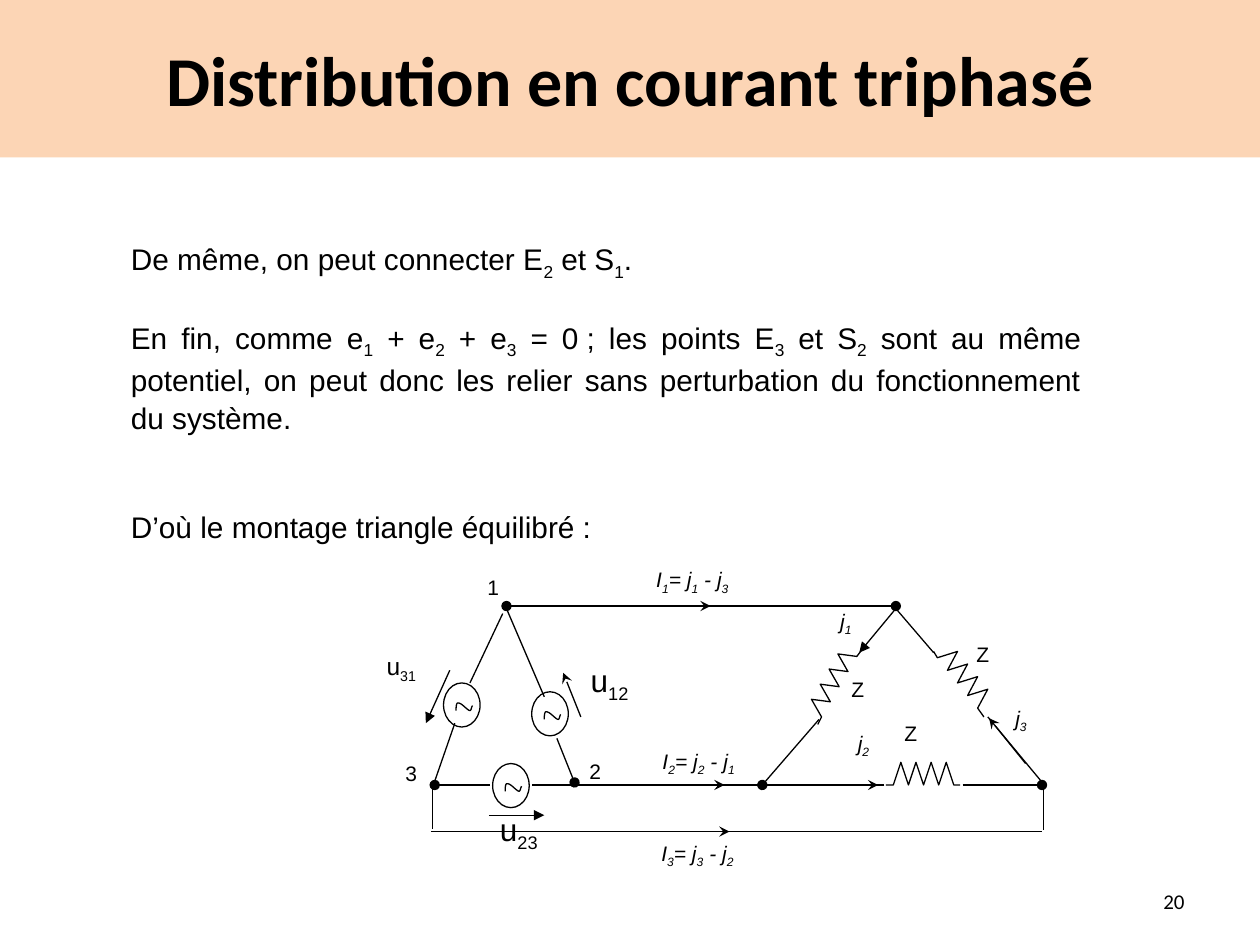
import dataclasses
import typing

import pptx
import pptx.dml.color
import pptx.enum.shapes
import pptx.enum.text
import pptx.oxml.ns
import pptx.util
from lxml import etree

Inches = pptx.util.Inches
Pt = pptx.util.Pt
Align = pptx.enum.text.PP_ALIGN
Anchor = pptx.enum.text.MSO_ANCHOR
Point = tuple[float, float]


@dataclasses.dataclass(frozen=True)
class Theme:
    ink: str = "000000"
    band: str = "FCD5B5"
    paper: str = "FFFFFF"
    head: str = "Calibri"
    body: str = "Arial"
    title: float = 40
    text: float = 17
    large: float = 18
    mid: float = 14
    small: float = 12
    line: float = 0.75


class Wire(typing.NamedTuple):
    start: Point
    end: Point
    tail: str = ""
    head: str = ""


class Label(typing.NamedTuple):
    text: str
    left: float
    top: float
    size: float
    slant: bool = False


class Coil(typing.NamedTuple):
    lead: Point
    base: Point
    step: Point
    peak: Point
    end: Point


THEME = Theme()
TEETH = 4
WAVE = [
    [(0, 0.07), (0, 0.05), (0, 0.02), (0.01, 0.01)],
    [(0.01, 0.01), (0.04, 0), (0.09, 0.07), (0.11, 0.07)],
    [(0.11, 0.07), (0.12, 0.07), (0.12, 0.05), (0.13, 0.03)],
]
PARTS = [
    ("De même, on peut connecter E_2 et S_1.", 0),
    ("En fin, comme e_1 + e_2 + e_3 = 0\u00a0; les points E_3 et S_2 sont au même potentiel, "
     "on peut donc les relier sans perturbation du fonctionnement du système.", 20.5),
    ("D’où le montage triangle équilibré\u00a0:", 41),
]
CELLS = [(3.52, 5.42), (4.22, 5.49), (3.91, 6.06)]
COILS = [
    Coil((7.41, 5.17), (7.44, 5.22), (0.08, 0.1), (0.16, -0.05), (7.81, 5.69)),
    Coil((6.49, 5.75), (6.52, 5.69), (0.07, -0.12), (-0.08, -0.14), (6.83, 5.17)),
    Coil((7.03, 6.23), (7.09, 6.23), (0.12, 0), (0.06, -0.18), (7.62, 6.23)),
]
WIRES = [
    Wire((4.02, 4.81), (7.11, 4.81), "oval", "oval"),
    Wire((3.45, 6.23), (3.89, 6.23), head="oval"),
    Wire((7.64, 6.23), (8.27, 6.23), "oval"),
    Wire((8.28, 6.24), (8.28, 6.59)),
    Wire((3.43, 6.23), (3.43, 6.58)),
    Wire((7.41, 5.18), (7.11, 4.83)),
    Wire((7.84, 5.69), (8.28, 6.22)),
    Wire((6.5, 5.71), (6.05, 6.23), "oval"),
    Wire((4.02, 4.83), (4.32, 5.53)),
    Wire((7.02, 6.23), (4.22, 6.23)),
    Wire((4.42, 5.86), (4.56, 6.21), "oval"),
    Wire((3.42, 6.6), (8.27, 6.6)),
    Wire((3.99, 4.87), (3.73, 5.42)),
    Wire((3.61, 5.74), (3.44, 6.23)),
    Wire((4.61, 5.69), (4.47, 5.34), "stealth"),
    Wire((5.31, 6.23), (5.75, 6.23), "stealth"),
    Wire((5.05, 6.6), (5.79, 6.6), "stealth"),
    Wire((5.05, 4.81), (5.64, 4.81), "stealth"),
    Wire((6.67, 6.23), (6.97, 6.23), "stealth"),
    Wire((8.14, 6.06), (7.85, 5.7), "stealth"),
    Wire((3.88, 6.47), (4.32, 6.47), "triangle"),
    Wire((3.57, 5.32), (3.38, 5.74), "triangle"),
    Wire((7.11, 4.83), (6.82, 5.18), "triangle"),
]
LABELS = [
    Label("I_1= j_1 - j_3", 5.11, 4.45, THEME.small, True),
    Label("I_2= j_2 - j_1", 5.16, 5.89, THEME.small, True),
    Label("I_3= j_3 - j_2", 5.15, 6.62, THEME.small, True),
    Label("j_1", 6.57, 4.78, THEME.small, True),
    Label("j_2", 6.71, 5.75, THEME.small, True),
    Label("j_3", 7.96, 5.55, THEME.small, True),
    Label("Z", 7.08, 5.67, THEME.small),
    Label("Z", 7.65, 5.04, THEME.small),
    Label("Z", 6.66, 5.32, THEME.small),
    Label("1", 3.77, 4.51, THEME.small),
    Label("2", 4.58, 5.97, THEME.small),
    Label("3", 3.12, 5.99, THEME.small),
    Label("u_12", 4.59, 5.2, THEME.large),
    Label("u_31", 2.97, 5.12, THEME.mid),
    Label("u_23", 3.87, 6.38, THEME.large),
]


def tint(code: str) -> pptx.dml.color.RGBColor:
    return pptx.dml.color.RGBColor.from_string(code)


def style(run, size: float, face: str, bold: bool = False, slant: bool = False) -> None:
    font = run.font
    font.size, font.name, font.bold, font.italic = Pt(size), face, bold, slant
    font.color.rgb = tint(THEME.ink)


def write(para, text: str, size: float, slant: bool = False) -> None:
    first, *rest = text.split("_")
    parts = [(first, False)]
    for part in rest:
        stop = len(part) if part.isdigit() else 1
        parts += [(part[:stop], True), (part[stop:], False)]
    for part, low in parts:
        if part:
            run = para.add_run()
            run.text = part
            style(run, size, THEME.body, slant=slant)
            if low:
                run.font._element.set("baseline", "-25000")


def add_box(slide, left: float, top: float, width: float, height: float):
    box = slide.shapes.add_textbox(Inches(left), Inches(top), Inches(width), Inches(height))
    box.text_frame.word_wrap = True
    return box.text_frame


def pen(shape) -> None:
    shape.line.color.rgb = tint(THEME.ink)
    shape.line.width = Pt(THEME.line)


def draw_wire(slide, wire: Wire) -> None:
    ends = [Inches(v) for v in wire.start + wire.end]
    line = slide.shapes.add_connector(pptx.enum.shapes.MSO_CONNECTOR.STRAIGHT, *ends)
    pen(line)
    for tag, kind in (("a:headEnd", wire.head), ("a:tailEnd", wire.tail)):
        if kind:
            etree.SubElement(line.line._get_or_add_ln(), pptx.oxml.ns.qn(tag), type=kind)
    etree.SubElement(line._element.spPr, pptx.oxml.ns.qn("a:effectLst"))


def draw_path(slide, points: list[Point]) -> None:
    spots = [(Inches(x), Inches(y)) for x, y in points]
    form = slide.shapes.build_freeform(*spots[0])
    form.add_line_segments(spots[1:], close=False)
    shape = form.convert_to_shape()
    shape.shadow.inherit = False
    shape.fill.background()
    pen(shape)


def draw_coil(slide, coil: Coil) -> None:
    (x, y), (dx, dy), (px, py) = coil.base, coil.step, coil.peak
    points = [coil.lead, coil.base]
    for k in range(TEETH):
        points += [(x + k * dx + px, y + k * dy + py), (x + (k + 1) * dx, y + (k + 1) * dy)]
    draw_path(slide, points + [coil.end])


def curve(a: Point, b: Point, c: Point, d: Point, t: float) -> Point:
    s = 1 - t
    x, y = (s**3 * p + 3 * s * s * t * q + 3 * s * t * t * r + t**3 * u
            for p, q, r, u in zip(a, b, c, d))
    return x, y


def draw_cell(slide, left: float, top: float) -> None:
    ring = slide.shapes.add_shape(pptx.enum.shapes.MSO_SHAPE.OVAL, Inches(left), Inches(top),
                                  Inches(0.29), Inches(0.35))
    ring.shadow.inherit = False
    ring.fill.solid()
    ring.fill.fore_color.rgb = tint(THEME.paper)
    pen(ring)
    wave = [curve(*part, k / 8) for part in WAVE for k in range(9)]
    draw_path(slide, [(left + 0.1 + x, top + 0.15 + y) for x, y in wave])


def draw_label(slide, label: Label) -> None:
    frame = add_box(slide, label.left, label.top, 1.2, 0.4)
    write(frame.paragraphs[0], label.text, label.size, label.slant)


def draw_title(slide) -> None:
    title = slide.shapes.title
    title.left, title.top, title.width, title.height = 0, 0, Inches(10), Inches(1.25)
    title.fill.solid()
    title.fill.fore_color.rgb = tint(THEME.band)
    frame = title.text_frame
    frame.text = "Distribution en courant triphasé"
    frame.vertical_anchor = Anchor.MIDDLE
    frame.paragraphs[0].alignment = Align.CENTER
    style(frame.paragraphs[0].runs[0], THEME.title, THEME.head, bold=True)


def draw_body(slide) -> None:
    frame = add_box(slide, 0.94, 1.85, 7.74, 2.6)
    for k, (text, gap) in enumerate(PARTS):
        para = frame.add_paragraph() if k else frame.paragraphs[0]
        para.alignment, para.line_spacing = Align.JUSTIFY, 1.05
        para.space_before = Pt(gap)
        write(para, text, THEME.text)


def draw_page(slide) -> None:
    frame = add_box(slide, 7.17, 6.95, 2.33, 0.4)
    frame.text = "20"
    frame.vertical_anchor = Anchor.MIDDLE
    frame.paragraphs[0].alignment = Align.RIGHT
    style(frame.paragraphs[0].runs[0], THEME.small, THEME.head)


def main() -> None:
    deck = pptx.Presentation()
    deck.slide_width, deck.slide_height = Inches(10), Inches(7.5)
    slide = deck.slides.add_slide(deck.slide_layouts[5])
    draw_title(slide)
    draw_body(slide)
    draw_page(slide)
    for cell in CELLS:
        draw_cell(slide, *cell)
    for coil in COILS:
        draw_coil(slide, coil)
    for wire in WIRES:
        draw_wire(slide, wire)
    for label in LABELS:
        draw_label(slide, label)
    deck.save("out.pptx")


if __name__ == "__main__":
    main()
